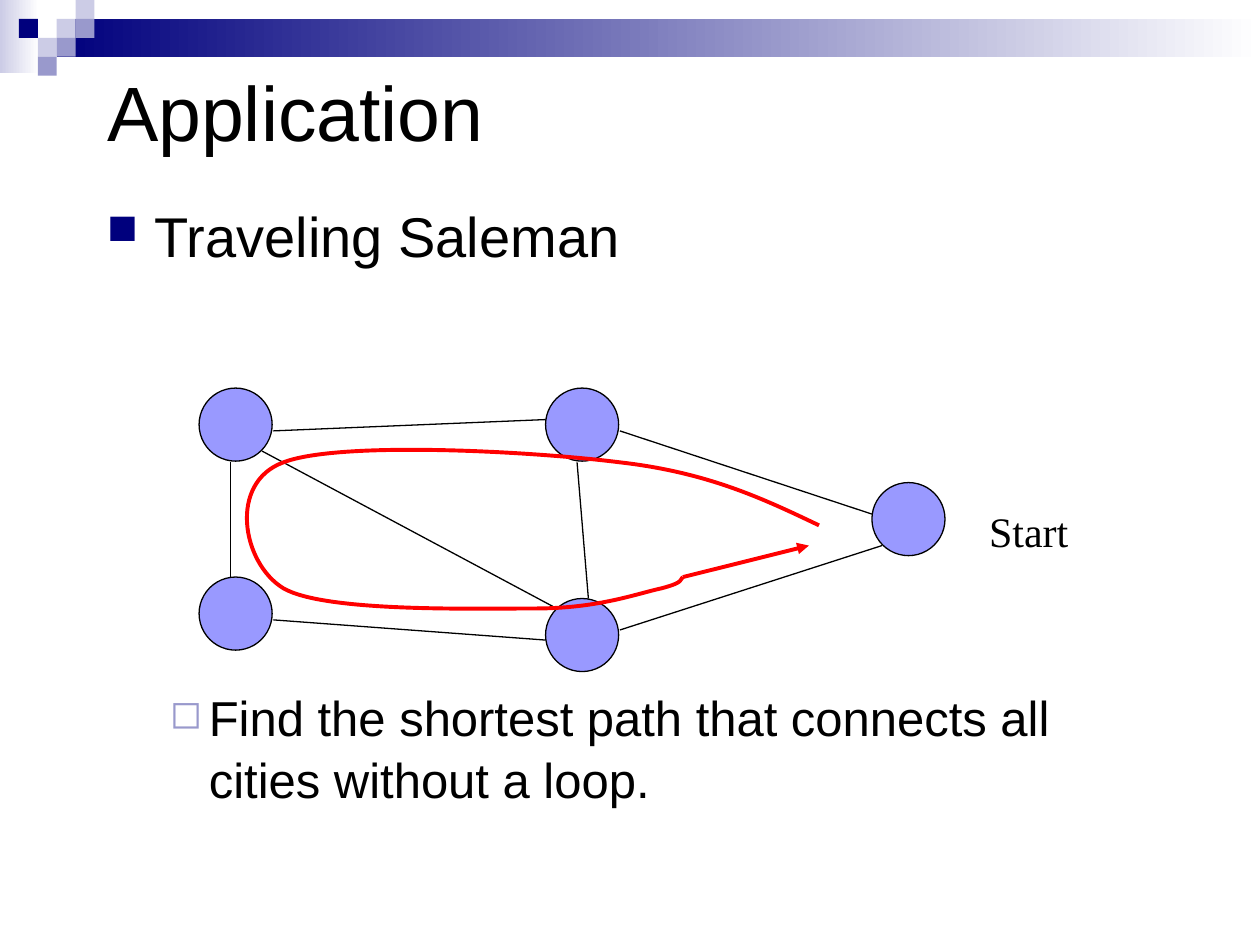
import dataclasses
import typing

import lxml.etree
import pptx
import pptx.dml.color
import pptx.enum.shapes
import pptx.enum.text
import pptx.oxml.ns
import pptx.util

Inches = pptx.util.Inches
Pt = pptx.util.Pt
qn = pptx.oxml.ns.qn
KIND = pptx.enum.shapes.MSO_SHAPE
ALIGN = pptx.enum.text.PP_ALIGN
MIDDLE = pptx.enum.text.MSO_ANCHOR.MIDDLE

COLORS = {
    "white": "FFFFFF", "black": "000000", "navy": "00007D", "pale": "CCCCE6",
    "mid": "9999CC", "city": "9999FF", "tour": "FF0000",
}
TILE = 0.15
CITY = 0.58


class Point(typing.NamedTuple):
    x: float
    y: float


@dataclasses.dataclass
class Tile:
    col: int
    row: int
    color: str


@dataclasses.dataclass
class Road:
    start: Point
    end: Point


@dataclasses.dataclass
class Item:
    text: str
    size: int
    mark: str
    color: str
    scale: int
    left: float
    hang: float
    gap: int


TILES = [
    Tile(3, 1, "pale"), Tile(4, 0, "pale"), Tile(4, 1, "mid"), Tile(2, 2, "pale"),
    Tile(1, 1, "navy"), Tile(3, 2, "mid"), Tile(2, 3, "mid"),
]
CITIES = [
    Point(1.58, 3.08), Point(4.33, 4.75), Point(1.58, 4.58),
    Point(4.33, 3.08), Point(6.92, 3.83),
]
ROADS = [
    Road(Point(1.83, 3.67), Point(1.83, 4.58)),
    Road(Point(2.17, 3.42), Point(4.33, 3.33)),
    Road(Point(4.92, 3.42), Point(6.92, 4.08)),
    Road(Point(2.17, 4.92), Point(4.33, 5.08)),
    Road(Point(4.92, 5), Point(7, 4.33)),
    Road(Point(4.58, 3.67), Point(4.67, 4.75)),
    Road(Point(2.08, 3.58), Point(4.42, 4.83)),
]
TOUR = [
    Point(6.5, 4.17),
    Point(6.06, 3.96), Point(5.62, 3.75), Point(4.92, 3.67),
    Point(4.21, 3.58), Point(2.69, 3.5), Point(2.25, 3.67),
    Point(1.81, 3.83), Point(1.92, 4.47), Point(2.25, 4.67),
    Point(2.58, 4.86), Point(3.75, 4.83), Point(4.25, 4.83),
    Point(4.75, 4.83), Point(5.06, 4.71), Point(5.25, 4.67),
    Point(5.44, 4.62), Point(5.39, 4.6), Point(5.42, 4.58),
]
ITEMS = [
    Item("Traveling Saleman", 32, "■", "navy", 75, 0.38, -0.38, 0),
    Item("Find the shortest path that connects all cities without a loop.",
         28, "◻", "mid", 80, 0.81, -0.31, 238),
]


def rgb(name: str) -> pptx.dml.color.RGBColor:
    return pptx.dml.color.RGBColor.from_string(COLORS[name])


def stroke(line, color: str, width: float) -> None:
    line.color.rgb = rgb(color)
    line.width = Pt(width)


def style(para, size: int, font: str = "Arial") -> None:
    for run in para.runs:
        run.font.size = Pt(size)
        run.font.name = font
        run.font.color.rgb = rgb("black")


def place(shape, left: float, top: float, width: float, height: float) -> None:
    shape.left, shape.top = Inches(left), Inches(top)
    shape.width, shape.height = Inches(width), Inches(height)


def block(slide, kind, left: float, top: float, width: float, height: float):
    shape = slide.shapes.add_shape(
        kind, Inches(left), Inches(top), Inches(width), Inches(height))
    shape.shadow.inherit = False
    shape.line.fill.background()
    return shape


def fade(slide, left: float, top: float, width: float, height: float, color: str) -> None:
    shape = block(slide, KIND.RECTANGLE, left, top, width, height)
    shape.fill.gradient()
    shape.fill.gradient_angle = 0
    for stop, name in zip(shape.fill.gradient_stops, (color, "white")):
        stop.color.rgb = rgb(name)


def draw_tile(slide, tile: Tile) -> None:
    shape = block(slide, KIND.RECTANGLE, tile.col * TILE, tile.row * TILE, TILE, TILE)
    shape.fill.solid()
    shape.fill.fore_color.rgb = rgb(tile.color)


def draw_city(slide, spot: Point) -> None:
    shape = block(slide, KIND.OVAL, spot.x, spot.y, CITY, CITY)
    shape.fill.solid()
    shape.fill.fore_color.rgb = rgb("city")
    stroke(shape.line, "black", 0.75)


def draw_road(slide, road: Road, color: str = "black", width: float = 0.75):
    line = slide.shapes.add_connector(
        pptx.enum.shapes.MSO_CONNECTOR.STRAIGHT,
        *(Inches(value) for value in (*road.start, *road.end)))
    stroke(line.line, color, width)
    lxml.etree.SubElement(line.element.spPr, qn("a:effectLst"))
    return line


def draw_tour(slide, points: list[Point]) -> None:
    first, *rest = [(Inches(spot.x), Inches(spot.y)) for spot in points]
    maker = slide.shapes.build_freeform(*first)
    maker.add_line_segments(rest, close=False)
    shape = maker.convert_to_shape()
    shape.shadow.inherit = False
    shape.fill.background()
    stroke(shape.line, "tour", 2.25)
    steps = list(shape.element.iter(qn("a:lnTo")))
    for index in range(0, len(steps), 3):
        trio = steps[index:index + 3]
        curve = lxml.etree.Element(qn("a:cubicBezTo"))
        trio[0].addprevious(curve)
        for step in trio:
            curve.append(step[0])
            step.getparent().remove(step)


def write_item(para, item: Item) -> None:
    para.text = item.text
    para.space_before = Pt(item.gap)
    para.line_spacing = 1.05
    props = para._p.get_or_add_pPr()
    props.set("marL", str(Inches(item.left)))
    props.set("indent", str(Inches(item.hang)))
    tint = lxml.etree.SubElement(props, qn("a:buClr"))
    lxml.etree.SubElement(tint, qn("a:srgbClr"), val=COLORS[item.color])
    lxml.etree.SubElement(props, qn("a:buSzPct"), val=str(item.scale * 1000))
    lxml.etree.SubElement(props, qn("a:buChar"), char=item.mark)
    style(para, item.size)


def main() -> None:
    deck = pptx.Presentation()
    deck.slide_width, deck.slide_height = Inches(10), Inches(7.5)
    slide = deck.slides.add_slide(deck.slide_layouts.get_by_name("Title Only"))

    fade(slide, 0, 0, 0.31, 0.58, "pale")
    fade(slide, 0.45, 0.15, 9.55, 0.3, "navy")
    for tile in TILES:
        draw_tile(slide, tile)

    title = slide.shapes.title
    place(title, 0.75, 0.25, 8.5, 1.25)
    title.text_frame.text = "Application"
    title.text_frame.vertical_anchor = MIDDLE
    title.text_frame.paragraphs[0].alignment = ALIGN.LEFT
    style(title.text_frame.paragraphs[0], 44)

    body = slide.shapes.add_textbox(Inches(0.75), Inches(1.52), Inches(8.5), Inches(5.08))
    frame = body.text_frame
    frame.word_wrap = True
    for index, item in enumerate(ITEMS):
        write_item(frame.add_paragraph() if index else frame.paragraphs[0], item)

    for spot in CITIES:
        draw_city(slide, spot)
    for road in ROADS:
        draw_road(slide, road)

    label = slide.shapes.add_textbox(Inches(7.75), Inches(3.92), Inches(0.83), Inches(0.58))
    label.text_frame.text = "Start"
    label.text_frame.word_wrap = False
    label.text_frame.vertical_anchor = MIDDLE
    label.text_frame.paragraphs[0].alignment = ALIGN.CENTER
    style(label.text_frame.paragraphs[0], 24, "Times New Roman")

    draw_tour(slide, TOUR)
    arrow = draw_road(slide, Road(TOUR[-1], Point(6.42, 4.33)), "tour", 2.25)
    lxml.etree.SubElement(arrow.line._get_or_add_ln(), qn("a:tailEnd"), type="triangle")

    deck.save("out.pptx")


if __name__ == "__main__":
    main()
